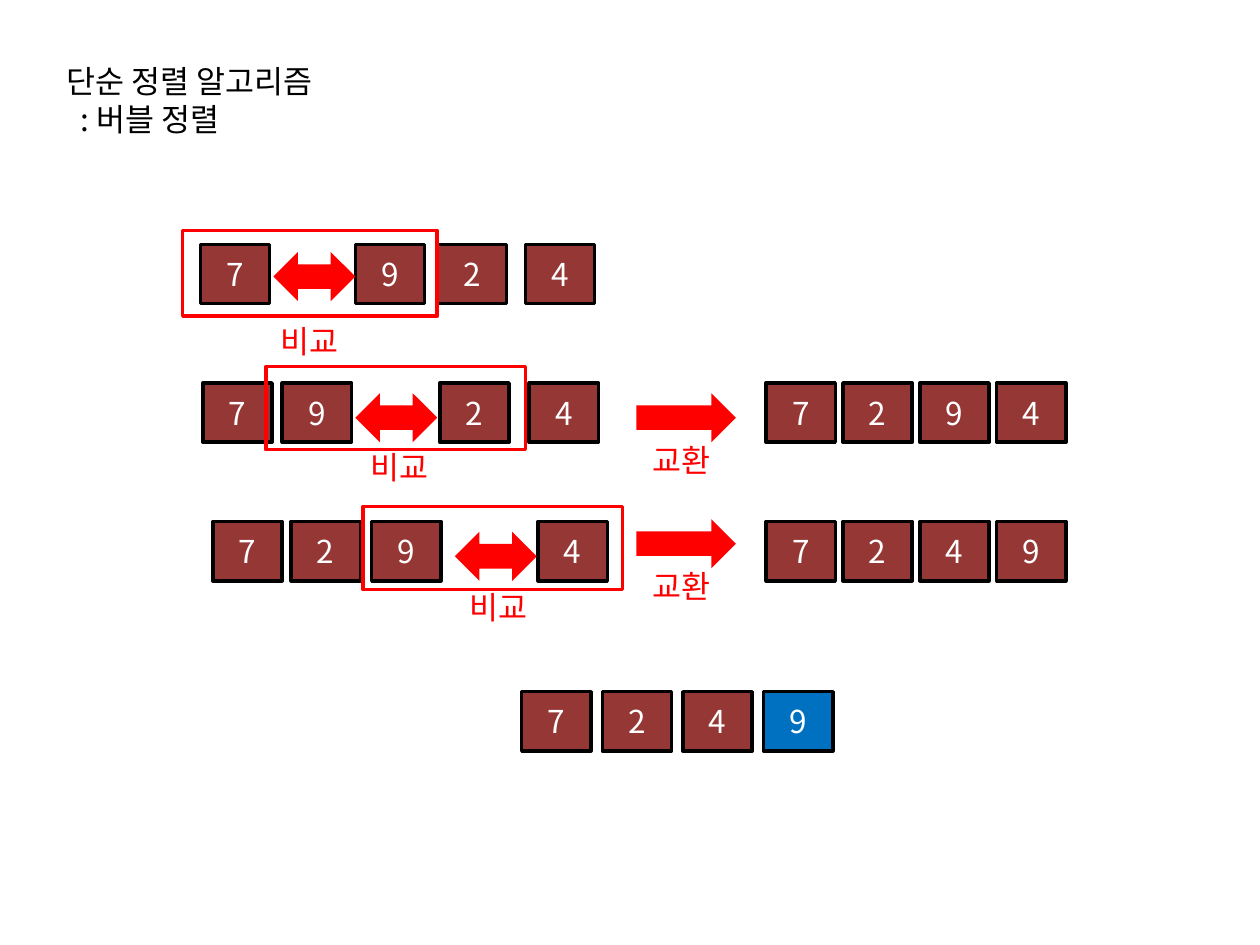
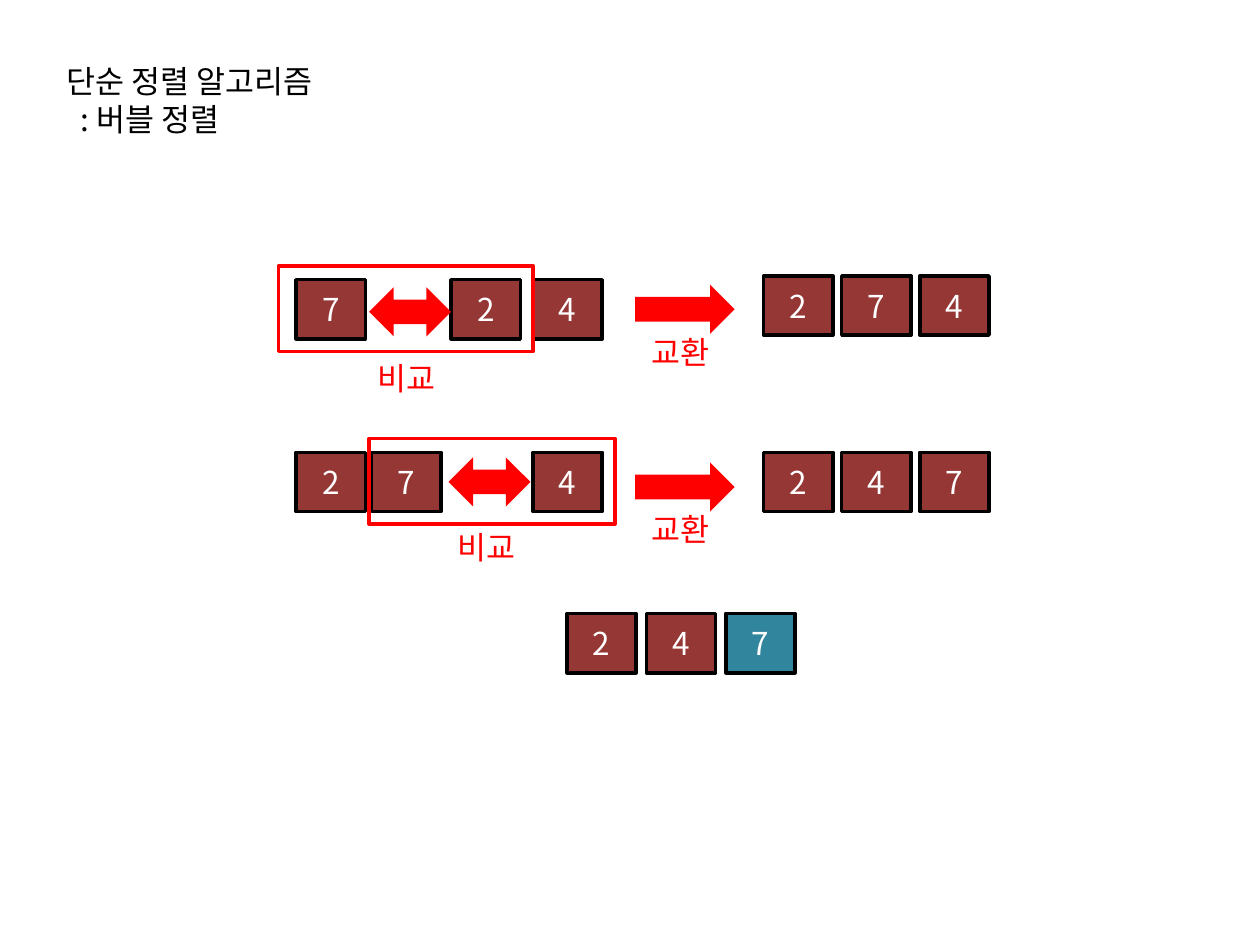
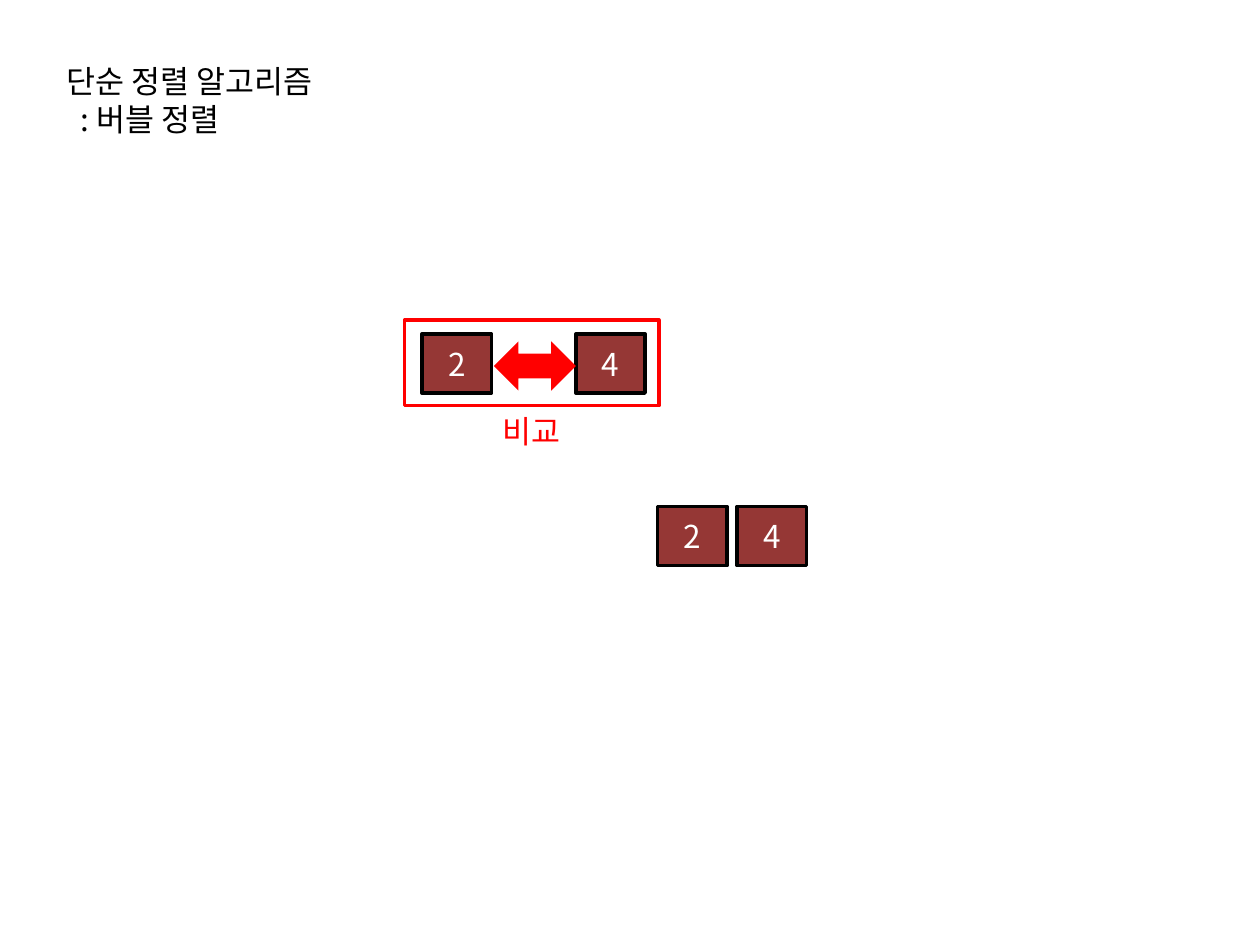
from pptx import Presentation
from pptx import util as u
from pptx.dml.color import RGBColor
from pptx.enum import shapes, text
from pptx.oxml import ns
from lxml import etree

FONT = "Noto Sans CJK KR"
BLACK = RGBColor(0x00, 0x00, 0x00)
WHITE = RGBColor(0xFF, 0xFF, 0xFF)
RED = RGBColor(0xFF, 0x00, 0x00)
BRICK = RGBColor(0x95, 0x37, 0x35)
BLUE = RGBColor(0x00, 0x70, 0xC0)
TEAL = RGBColor(0x31, 0x85, 0x9C)
KIND = shapes.MSO_SHAPE
CELL = (0.55, 0.47)
HEAD = ("단순 정렬 알고리즘", ": 버블 정렬")


def place(box, left, top, width, height):
    """Move and size a shape, in inches."""
    box.left, box.top = u.Inches(left), u.Inches(top)
    box.width, box.height = u.Inches(width), u.Inches(height)


def write(par, words, color):
    """Add one run in the shared font, for Latin and Korean."""
    run = par.add_run()
    run.text = words
    run.font.size = u.Pt(18)
    run.font.name = FONT
    run.font.color.rgb = color
    latin = run.font._element.find(ns.qn("a:latin"))
    east = etree.Element(ns.qn("a:ea"), typeface=FONT)
    latin.addnext(east)


def fit(frame):
    """Let a text frame grow with its unwrapped text."""
    frame.word_wrap = False
    frame.auto_size = text.MSO_AUTO_SIZE.SHAPE_TO_FIT_TEXT
    frame.vertical_anchor = text.MSO_ANCHOR.TOP


def start(deck):
    """Add a slide with the shared two-line title."""
    slide = deck.slides.add_slide(deck.slide_layouts[5])
    title = slide.shapes.title
    place(title, 0.43, 0.44, 2.4, 0.71)
    frame = title.text_frame
    fit(frame)
    first, second = frame.paragraphs[0], frame.add_paragraph()
    for par, words in zip((first, second), HEAD):
        par.alignment = text.PP_ALIGN.LEFT
        write(par, words, BLACK)
    second._p.get_or_add_pPr().set("marL", str(u.Inches(0.11)))
    return slide


def shape(slide, kind, at, fill=None, line=None):
    """Add a flat preset shape."""
    item = slide.shapes.add_shape(kind, *map(u.Inches, at))
    item.shadow.inherit = False
    if fill is None:
        item.fill.background()
    else:
        item.fill.solid()
        item.fill.fore_color.rgb = fill
    if line is None:
        item.line.fill.background()
    else:
        item.line.color.rgb = line
        item.line.width = u.Pt(2)
    return item


def label(slide, words, left, top):
    """Add a red caption."""
    box = slide.shapes.add_textbox(*map(u.Inches, (left, top, 0.71, 0.4)))
    fit(box.text_frame)
    write(box.text_frame.paragraphs[0], words, RED)


def steps(left, pitch, count):
    """Give evenly spaced left edges."""
    return [left + pitch * i for i in range(count)]


def row(slide, digits, lefts, top, last=BRICK):
    """Add a row of number cells; the last may have its own fill."""
    fills = [BRICK] * (len(digits) - 1) + [last]
    for digit, left, fill in zip(digits, lefts, fills):
        cell = shape(slide, KIND.RECTANGLE, (left, top, *CELL), fill, BLACK)
        frame = cell.text_frame
        frame.vertical_anchor = text.MSO_ANCHOR.MIDDLE
        frame.paragraphs[0].alignment = text.PP_ALIGN.CENTER
        write(frame.paragraphs[0], digit, WHITE)


def compare(slide, frame, arrow, note):
    """Mark two compared cells with an arrow, caption and frame."""
    shape(slide, KIND.LEFT_RIGHT_ARROW, (*arrow, 0.65, 0.39), RED)
    label(slide, "비교", *note)
    shape(slide, KIND.RECTANGLE, frame, line=RED)


def swap(slide, left, top):
    """Add the exchange arrow with its caption."""
    label(slide, "교환", left + 0.03, top + 0.33)
    shape(slide, KIND.RIGHT_ARROW, (left, top, 0.79, 0.39), RED)


def first(deck):
    """Pass one: four numbers, 9 moves to the end."""
    slide = start(deck)
    after = steps(6.08, 0.61, 4)
    row(slide, "7924", (1.59, 2.82, 3.47, 4.17), 1.94)
    compare(slide, (1.45, 1.83, 2.02, 0.68), (2.17, 2), (2.13, 2.51))
    row(slide, "7924", (1.61, 2.24, 3.49, 4.2), 3.04)
    compare(slide, (2.11, 2.91, 2.06, 0.66), (2.82, 3.12), (2.84, 3.51))
    swap(slide, 5.05, 3.12)
    row(slide, "7294", after, 3.04)
    row(slide, "7294", (1.69, 2.31, 2.95, 4.27), 4.14)
    compare(slide, (2.88, 4.02, 2.06, 0.66), (3.61, 4.22), (3.63, 4.62))
    swap(slide, 5.05, 4.12)
    row(slide, "7249", after, 4.14)
    row(slide, "7249", steps(4.14, 0.64, 4), 5.49, BLUE)


def second(deck):
    """Pass two: three numbers, 7 moves to the end."""
    slide = start(deck)
    after = steps(6.06, 0.62, 3)
    row(slide, "724", (2.35, 3.58, 4.23), 2.22)
    compare(slide, (2.21, 2.11, 2.02, 0.68), (2.93, 2.28), (2.9, 2.8))
    swap(slide, 5.04, 2.26)
    row(slide, "274", after, 2.19)
    row(slide, "274", (2.35, 2.95, 4.23), 3.59)
    compare(slide, (2.93, 3.48, 1.95, 0.68), (3.56, 3.63), (3.53, 4.14))
    swap(slide, 5.04, 3.67)
    row(slide, "247", after, 3.59)
    row(slide, "247", steps(4.5, 0.63, 3), 4.87, TEAL)


def third(deck):
    """Pass three: the last two numbers."""
    slide = start(deck)
    row(slide, "24", (3.35, 4.57), 2.65)
    compare(slide, (3.21, 2.54, 2.02, 0.68), (3.92, 2.71), (3.89, 3.22))
    row(slide, "24", steps(5.22, 0.63, 2), 4.02)


def main():
    """Build the deck and save it."""
    deck = Presentation()
    deck.slide_width, deck.slide_height = u.Inches(10), u.Inches(7.5)
    for build in (first, second, third):
        build(deck)
    deck.save("out.pptx")


main()
